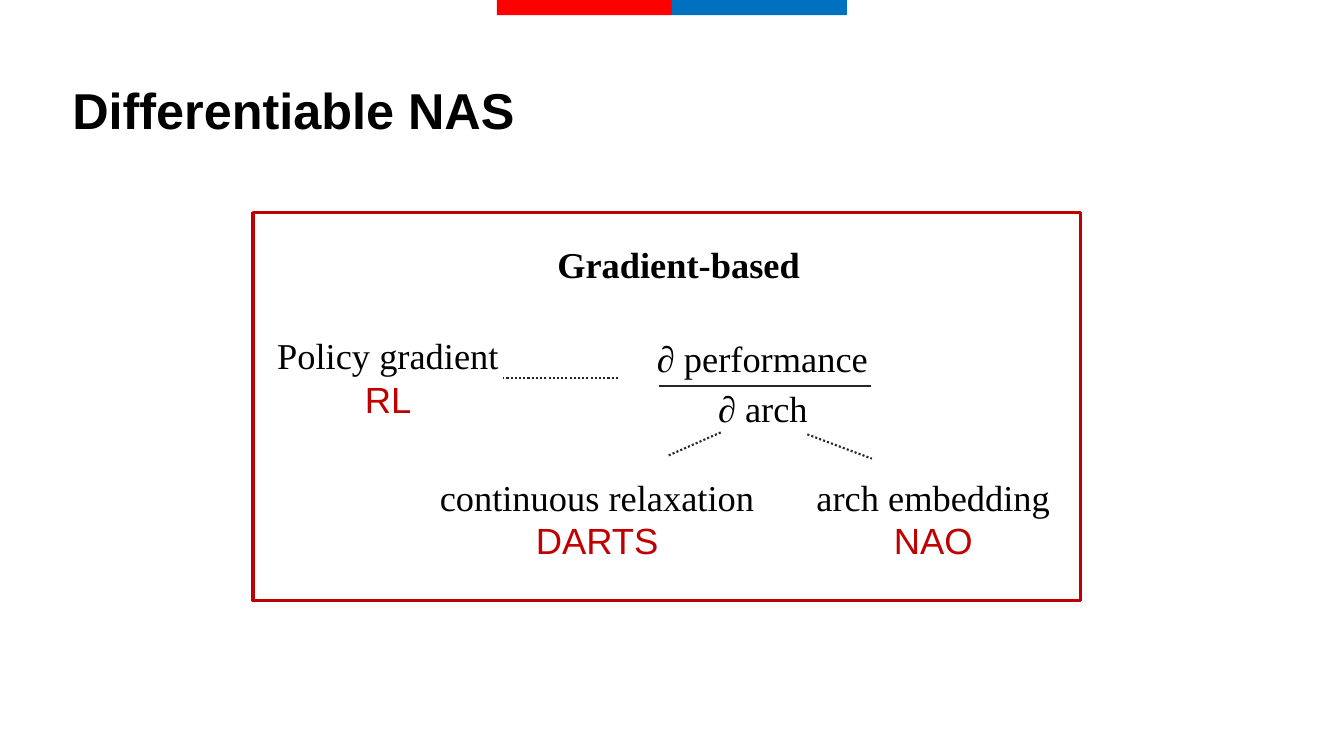
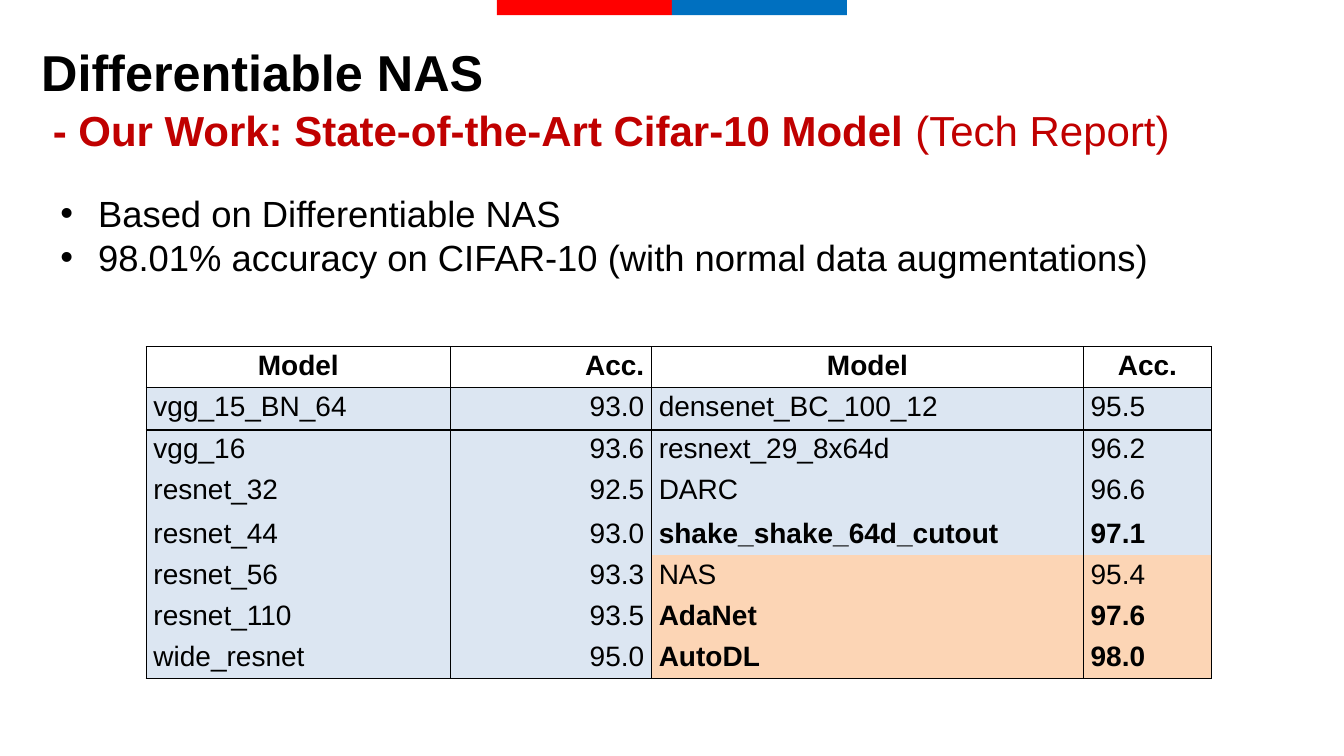
from dataclasses import dataclass
from lxml import etree
from pptx import Presentation
from pptx.dml.color import RGBColor as RGB
from pptx.enum.dml import MSO_LINE_DASH_STYLE as Dash
from pptx.enum.shapes import MSO_CONNECTOR as Connector, MSO_SHAPE as Shape
from pptx.enum.text import MSO_ANCHOR as Anchor, MSO_AUTO_SIZE as AutoSize, PP_ALIGN as Align
from pptx.oxml.ns import qn
from pptx.util import Pt


@dataclass(frozen=True)
class Theme:
    black: RGB = RGB(0, 0, 0)
    accent: RGB = RGB(0xC0, 0, 0)
    rule: RGB = RGB(0x26, 0x26, 0x26)
    band: tuple = (RGB(0xFF, 0, 0), RGB(0, 0x70, 0xC0))
    known: RGB = RGB(0xDC, 0xE6, 0xF2)
    searched: RGB = RGB(0xFC, 0xD5, 0xB5)
    sans: str = "Arial"
    serif: str = "Times New Roman"
    title: int = 36
    subtitle: int = 30
    body: int = 26
    table: int = 20


theme = Theme()


def style(run, size, color=theme.black, bold=False, face=theme.sans):
    run.font.size = Pt(size)
    run.font.name = face
    run.font.bold = bold
    run.font.color.rgb = color


def write(slide, place, lines, align=Align.LEFT, wrap=True, anchor=Anchor.TOP):
    frame = slide.shapes.add_textbox(*map(Pt, place)).text_frame
    frame.word_wrap = wrap
    frame.vertical_anchor = anchor
    frame.auto_size = AutoSize.NONE if anchor == Anchor.MIDDLE else AutoSize.SHAPE_TO_FIT_TEXT
    frame.text = "\n".join(text for text, *_ in lines)
    for paragraph, (_, *look) in zip(frame.paragraphs, lines):
        paragraph.alignment = align
        style(paragraph.runs[0], *look)
    return frame.paragraphs


deck = Presentation()
deck.slide_width, deck.slide_height = Pt(960), Pt(540)

titles = []
for place, subtitles in (
    ((44.6, 25.2, 864, 105.8), []),
    ((22.3, 25.2, 926, 90), [("- Our Work: State-of-the-Art Cifar-10 Model ", theme.subtitle, theme.accent, True)]),
):
    slide = deck.slides.add_slide(deck.slide_layouts[6])
    for side, color in enumerate(theme.band):
        band = slide.shapes.add_shape(Shape.RECTANGLE, Pt(355 + side * 125), 0, Pt(125), Pt(10.8))
        band.shadow.inherit = False
        band.fill.solid()
        band.fill.fore_color.rgb = color
        band.line.fill.background()
    heading = ("Differentiable NAS", theme.title, theme.black, True)
    titles.append(write(slide, place, [heading, *subtitles], anchor=Anchor.MIDDLE))

overview, results = deck.slides

serif = (theme.body, theme.black, False, theme.serif)
method = (theme.body, theme.accent)
for place, lines in (
    ((390.2, 169.2, 189.4, 38.9), [("Gradient-based", theme.body, theme.black, True, theme.serif)]),
    ((461.5, 236.9, 166.3, 38.9), [("∂ performance", *serif)]),
    ((505.4, 272.2, 79.2, 38.9), [("∂ arch", *serif)]),
    ((303.1, 335.5, 247, 70.6), [("continuous relaxation", *serif), ("DARTS", *method)]),
    ((575.3, 335.5, 182.9, 70.6), [("arch embedding", *serif), ("NAO", *method)]),
    ((190.1, 234.7, 174.2, 70.6), [("Policy gradient", *serif), ("RL", *method)]),
):
    write(overview, place, lines, Align.CENTER, wrap=False)

for ends, dash in (
    ((470.9, 275.8, 622.1, 275.8), None),
    ((514.8, 308.9, 477.4, 325.4), Dash.ROUND_DOT),
    ((576.7, 310.3, 622.8, 327.6), Dash.ROUND_DOT),
    ((441.4, 270, 359.3, 270), Dash.ROUND_DOT),
):
    link = overview.shapes.add_connector(Connector.STRAIGHT, *map(Pt, ends))
    link.line.color.rgb = theme.rule
    link.line.width = Pt(1.5)
    link.line.dash_style = dash
    etree.SubElement(link._element.spPr, qn("a:effectLst"))

frame = overview.shapes.add_shape(Shape.RECTANGLE, Pt(180.7), Pt(151.9), Pt(591.1), Pt(277.2))
frame.shadow.inherit = False
frame.fill.background()
frame.line.color.rgb = theme.accent
frame.line.width = Pt(2.25)

subtitle = titles[1][1]
subtitle.space_before = Pt(2)
subtitle._p.get_or_add_pPr().set("marL", str(Pt(8.3)))
report = subtitle.add_run()
report.text = "(Tech Report)"
style(report, theme.subtitle, theme.accent)

points = ["Based on Differentiable NAS", "98.01% accuracy on CIFAR-10 (with normal data augmentations)"]
for point in write(results, (36, 133.2, 864, 70.6), [(text, theme.body) for text in points]):
    props = point._p.get_or_add_pPr()
    props.set("marL", str(Pt(27)))
    props.set("indent", str(Pt(-27)))
    etree.SubElement(props, qn("a:buFont"), typeface=theme.sans)
    etree.SubElement(props, qn("a:buChar"), char="•")

rows = [
    ("Model", "Acc.", "Model", "Acc."),
    ("vgg_15_BN_64", "93.0", "densenet_BC_100_12", "95.5"),
    ("vgg_16", "93.6", "resnext_29_8x64d", "96.2"),
    ("resnet_32", "92.5", "DARC", "96.6"),
    ("resnet_44", "93.0", "shake_shake_64d_cutout", "97.1"),
    ("resnet_56", "93.3", "NAS", "95.4"),
    ("resnet_110", "93.5", "AdaNet", "97.6"),
    ("wide_resnet", "95.0", "AutoDL", "98.0"),
]
widths = [217.4, 143.6, 308.5, 91.5]
heights = [29.3, 30.2, 29.3, 31, 29.3, 29.3, 29.3, 29.3]
best = {"shake_shake_64d_cutout", "AdaNet", "AutoDL"}
ruled_below = {0, 1, len(rows) - 1}

accuracy = results.shapes.add_table(
    len(rows), len(widths), Pt(104.4), Pt(247.7), Pt(sum(widths)), Pt(sum(heights))
).table
accuracy.first_row = accuracy.horz_banding = False
accuracy._tbl.tblPr[0].text = "{2D5ABB26-0587-4C30-8999-92F81FD0307C}"
for column, width in zip(accuracy.columns, widths):
    column.width = Pt(width)

for r, texts in enumerate(rows):
    accuracy.rows[r].height = Pt(heights[r])
    for c, text in enumerate(texts):
        cell = accuracy.cell(r, c)
        cell.margin_left = cell.margin_right = Pt(5.2)
        cell.margin_top = cell.margin_bottom = Pt(2.6)
        cell.text = text
        paragraph = cell.text_frame.paragraphs[0]
        style(paragraph.runs[0], theme.table, bold=r == 0 or (c > 1 and texts[2] in best))
        if c == 1:
            paragraph.alignment = Align.RIGHT
        elif r == 0:
            paragraph.alignment = Align.CENTER
        props = cell._tc.get_or_add_tcPr()
        edges = {"L": True, "R": True, "T": r == 0 or r - 1 in ruled_below, "B": r in ruled_below}
        for edge, ruled in edges.items():
            border = etree.SubElement(props, qn(f"a:ln{edge}"), w=str(Pt(1)))
            if ruled:
                ink = etree.SubElement(border, qn("a:solidFill"))
                etree.SubElement(ink, qn("a:srgbClr"), val=str(theme.black))
            else:
                etree.SubElement(border, qn("a:noFill"))
        if r == 0:
            cell.fill.background()
        else:
            cell.fill.solid()
            cell.fill.fore_color.rgb = theme.searched if r > 4 and c > 1 else theme.known

deck.save("out.pptx")
